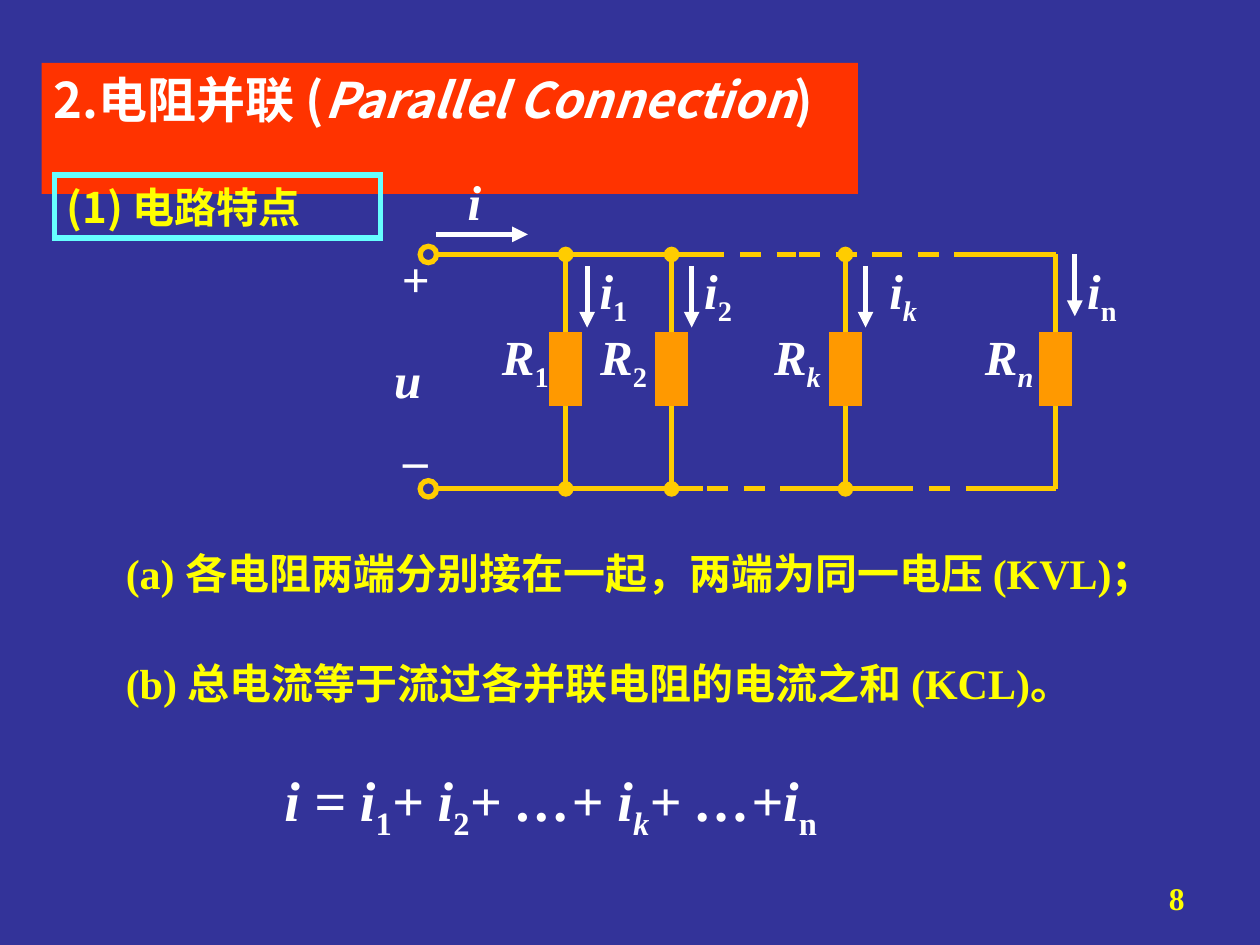
from dataclasses import dataclass
from typing import NamedTuple

from lxml.etree import SubElement
from pptx import Presentation
from pptx.dml.color import RGBColor
from pptx.enum.dml import MSO_LINE
from pptx.enum.shapes import MSO_CONNECTOR, MSO_SHAPE
from pptx.enum.text import MSO_ANCHOR, PP_ALIGN
from pptx.oxml.ns import qn
from pptx.util import Inches, Pt


@dataclass(frozen=True)
class Theme:
    background: str = "333399"
    banner: str = "FF3300"
    frame: str = "66FFFF"
    wire: str = "FFCC00"
    resistor: str = "FF9900"
    white: str = "FFFFFF"
    yellow: str = "FFFF00"
    latin: str = "Times New Roman"
    chinese: str = "Noto Sans CJK SC"
    number_size: float = 18
    body_size: float = 24
    label_size: float = 28
    formula_size: float = 32
    stroke: float = 3


class Piece(NamedTuple):
    text: str
    italic: bool = False
    sub: bool = False


class Box(NamedTuple):
    left: float
    top: float
    width: float
    height: float


class Branch(NamedTuple):
    x: float
    index: str
    name_left: float
    current_left: float
    arrow_x: float
    arrow_top: float = 2.11
    italic_current: bool = False
    italic_name: bool = False
    nodes: bool = True


class Wire(NamedTuple):
    start: float
    end: float
    y: float
    dashed: bool = False


THEME = Theme()
TOP, BOTTOM = 2.02, 3.88
ARROW_LENGTH = 0.49
NAME_WIDTH = 0.66
RESISTOR_WIDTH, RESISTOR_HEIGHT, RESISTOR_TOP = 0.23, 0.56, 2.65
TERMINAL_X, TERMINAL_SIZE = 3.4, 0.13

BRANCHES = [
    Branch(4.49, "1", 3.84, 4.66, 4.66),
    Branch(5.33, "2", 4.62, 5.49, 5.49),
    Branch(6.71, "k", 6.0, 6.96, 6.87, italic_current=True, italic_name=True),
    Branch(8.38, "n", 7.68, 8.53, 8.53, arrow_top=TOP, italic_name=True, nodes=False),
]
WIRES = [
    Wire(3.46, 5.58, TOP),
    Wire(5.58, 6.32, TOP, dashed=True),
    Wire(6.34, 7.08, TOP, dashed=True),
    Wire(6.99, 7.73, TOP, dashed=True),
    Wire(7.73, 8.38, TOP),
    Wire(3.46, 5.58, BOTTOM),
    Wire(5.61, 6.34, BOTTOM, dashed=True),
    Wire(6.34, 7.08, BOTTOM),
    Wire(7.08, 7.82, BOTTOM, dashed=True),
    Wire(7.73, 8.38, BOTTOM),
]


def rgb(value: str) -> RGBColor:
    return RGBColor.from_string(value)


def write(shape, *pieces: Piece, size: float = THEME.label_size, color: str = THEME.white,
          font: str = THEME.latin, align=PP_ALIGN.LEFT, anchor=MSO_ANCHOR.TOP,
          wrap: bool = True) -> None:
    """Fill a shape with one bold paragraph made of formatted pieces."""
    frame = shape.text_frame
    frame.word_wrap = wrap
    frame.vertical_anchor = anchor
    paragraph = frame.paragraphs[0]
    paragraph.alignment = align
    for piece in pieces:
        run = paragraph.add_run()
        run.text = piece.text
        run.font.size = Pt(size)
        run.font.bold = True
        run.font.italic = piece.italic
        run.font.name = font
        run.font.color.rgb = rgb(color)
        properties = run._r.get_or_add_rPr()
        SubElement(properties, qn("a:ea")).set("typeface", THEME.chinese)
        if piece.sub:
            properties.set("baseline", "-25000")


def add_text(slide, box: Box, *pieces: Piece, **style) -> None:
    write(slide.shapes.add_textbox(*map(Inches, box)), *pieces, **style)


def add_symbol(slide, box: Box, *pieces: Piece) -> None:
    add_text(slide, box, *pieces, align=PP_ALIGN.CENTER, anchor=MSO_ANCHOR.MIDDLE, wrap=False)


def add_block(slide, box: Box, *, kind=MSO_SHAPE.RECTANGLE, fill: str = "",
              line: str = "", weight: float = THEME.stroke):
    """Add a preset shape with square-cornered outline."""
    block = slide.shapes.add_shape(kind, *map(Inches, box))
    block.shadow.inherit = False
    if fill:
        block.fill.solid()
        block.fill.fore_color.rgb = rgb(fill)
    else:
        block.fill.background()
    if line:
        block.line.color.rgb = rgb(line)
        block.line.width = Pt(weight)
        SubElement(block.line._get_or_add_ln(), qn("a:miter")).set("lim", "800000")
    else:
        block.line.fill.background()
    return block


def add_line(slide, x1: float, y1: float, x2: float, y2: float, *, color: str = THEME.wire,
             dashed: bool = False, head: str = "", tail: str = "") -> None:
    line = slide.shapes.add_connector(MSO_CONNECTOR.STRAIGHT, *map(Inches, (x1, y1, x2, y2)))
    line.line.color.rgb = rgb(color)
    line.line.width = Pt(THEME.stroke)
    if dashed:
        line.line.dash_style = MSO_LINE.DASH
    outline = line.line._get_or_add_ln()
    for tag, marker in (("a:headEnd", head), ("a:tailEnd", tail)):
        if marker:
            SubElement(outline, qn(tag)).set("type", marker)
    SubElement(line._element.spPr, qn("a:effectLst"))


def add_current_arrow(slide, x1: float, y1: float, x2: float, y2: float) -> None:
    add_line(slide, x1, y1, x2, y2, color=THEME.white, tail="triangle")


def add_branch(slide, branch: Branch) -> None:
    node = "oval" if branch.nodes else ""
    add_line(slide, branch.x, BOTTOM, branch.x, TOP, head=node, tail=node)
    resistor = Box(branch.x - RESISTOR_WIDTH / 2, RESISTOR_TOP, RESISTOR_WIDTH, RESISTOR_HEIGHT)
    add_block(slide, resistor, fill=THEME.resistor, line=THEME.resistor, weight=2.25)
    add_symbol(slide, Box(branch.name_left, 2.54, NAME_WIDTH, 0.63),
               Piece("R", italic=True), Piece(branch.index, branch.italic_name, sub=True))
    add_current_arrow(slide, branch.arrow_x, branch.arrow_top,
                      branch.arrow_x, branch.arrow_top + ARROW_LENGTH)
    add_text(slide, Box(branch.current_left, TOP, 0.62, 0.63),
             Piece("i", italic=True), Piece(branch.index, branch.italic_current, sub=True))


def add_circuit(slide) -> None:
    for wire in WIRES:
        add_line(slide, wire.start, wire.y, wire.end, wire.y, dashed=wire.dashed)
    for branch in BRANCHES:
        add_branch(slide, branch)
    for y in (TOP, BOTTOM):
        terminal = Box(TERMINAL_X - TERMINAL_SIZE / 2, y - TERMINAL_SIZE / 2,
                       TERMINAL_SIZE, TERMINAL_SIZE)
        add_block(slide, terminal, kind=MSO_SHAPE.OVAL, line=THEME.wire)
    add_current_arrow(slide, 3.46, 1.86, 4.19, 1.86)
    add_symbol(slide, Box(3.61, 1.31, 0.31, 0.57), Piece("i", italic=True))
    add_symbol(slide, Box(3.09, 1.92, 0.42, 0.57), Piece("+"))
    add_symbol(slide, Box(3.03, 2.72, 0.41, 0.57), Piece("u", italic=True))
    add_symbol(slide, Box(3.1, 3.22, 0.39, 0.57), Piece("_"))


def main() -> None:
    deck = Presentation()
    deck.slide_width, deck.slide_height = Inches(10), Inches(7.5)
    slide = deck.slides.add_slide(deck.slide_layouts[6])
    slide.background.fill.solid()
    slide.background.fill.fore_color.rgb = rgb(THEME.background)

    banner = add_block(slide, Box(0.33, 0.5, 6.48, 1.04), fill=THEME.banner)
    write(banner, Piece("2.电阻并联 ("), Piece("Parallel Connection", italic=True), Piece(")"),
          font=THEME.chinese)
    add_circuit(slide)
    heading = add_block(slide, Box(0.43, 1.39, 2.59, 0.5), line=THEME.frame)
    body = {"size": THEME.body_size, "color": THEME.yellow}
    write(heading, Piece("(1) 电路特点"), font=THEME.chinese, **body)
    add_text(slide, Box(0.9, 4.3, 8.66, 0.5),
             Piece("(a) 各电阻两端分别接在一起，两端为同一电压 (KVL)；"), **body)
    add_text(slide, Box(0.9, 5.17, 7.8, 0.5),
             Piece("(b) 总电流等于流过各并联电阻的电流之和 (KCL)。"), **body)
    add_text(slide, Box(2.16, 6.03, 5.43, 0.71),
             Piece("i = i", italic=True), Piece("1", sub=True),
             Piece("+ i", italic=True), Piece("2", sub=True),
             Piece("+ …+ i", italic=True), Piece("k", italic=True, sub=True),
             Piece("+ …+i", italic=True), Piece("n", sub=True), size=THEME.formula_size)
    add_text(slide, Box(7.17, 6.93, 2.33, 0.52), Piece("8"),
             size=THEME.number_size, color=THEME.yellow, align=PP_ALIGN.RIGHT)
    deck.save("out.pptx")


if __name__ == "__main__":
    main()
